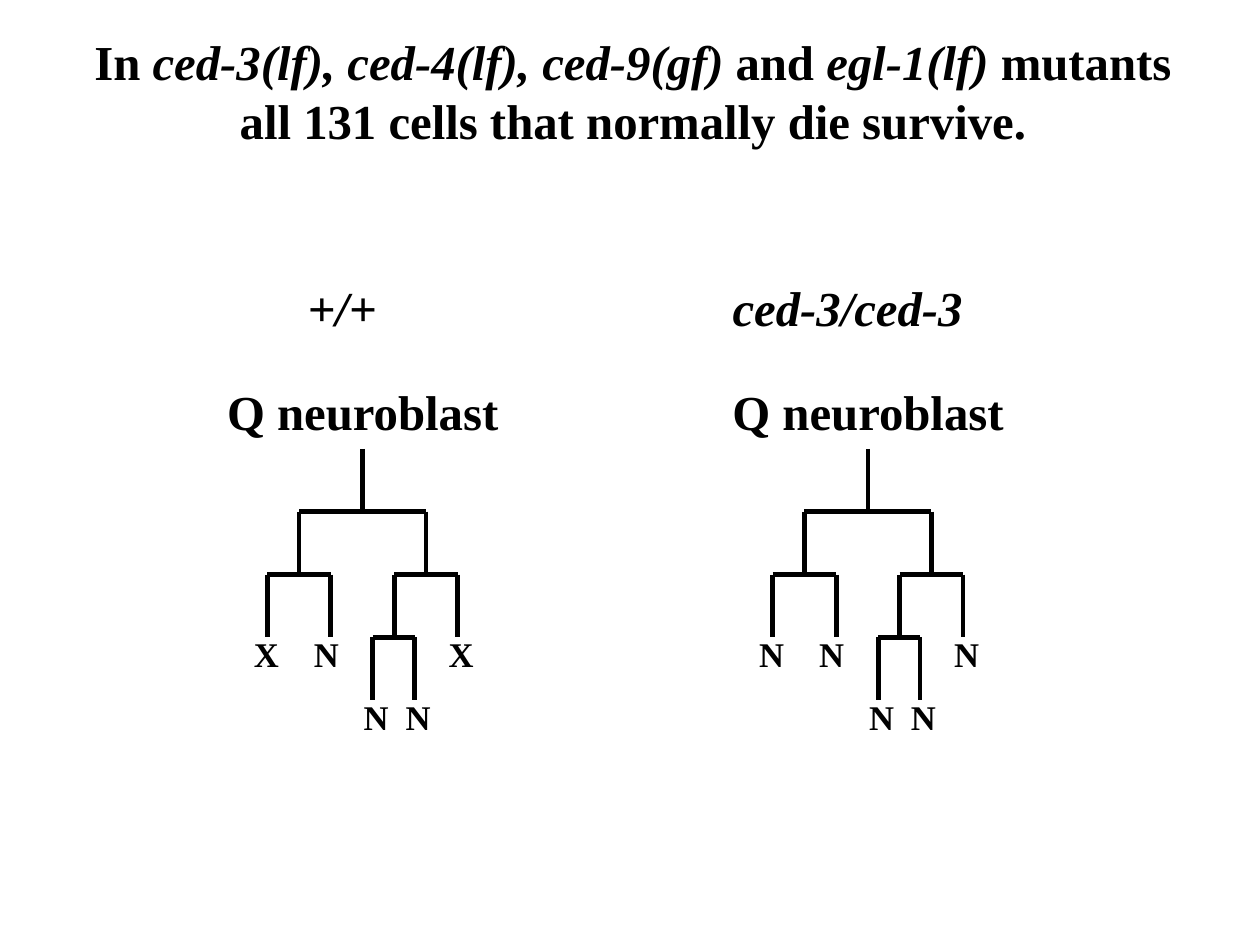
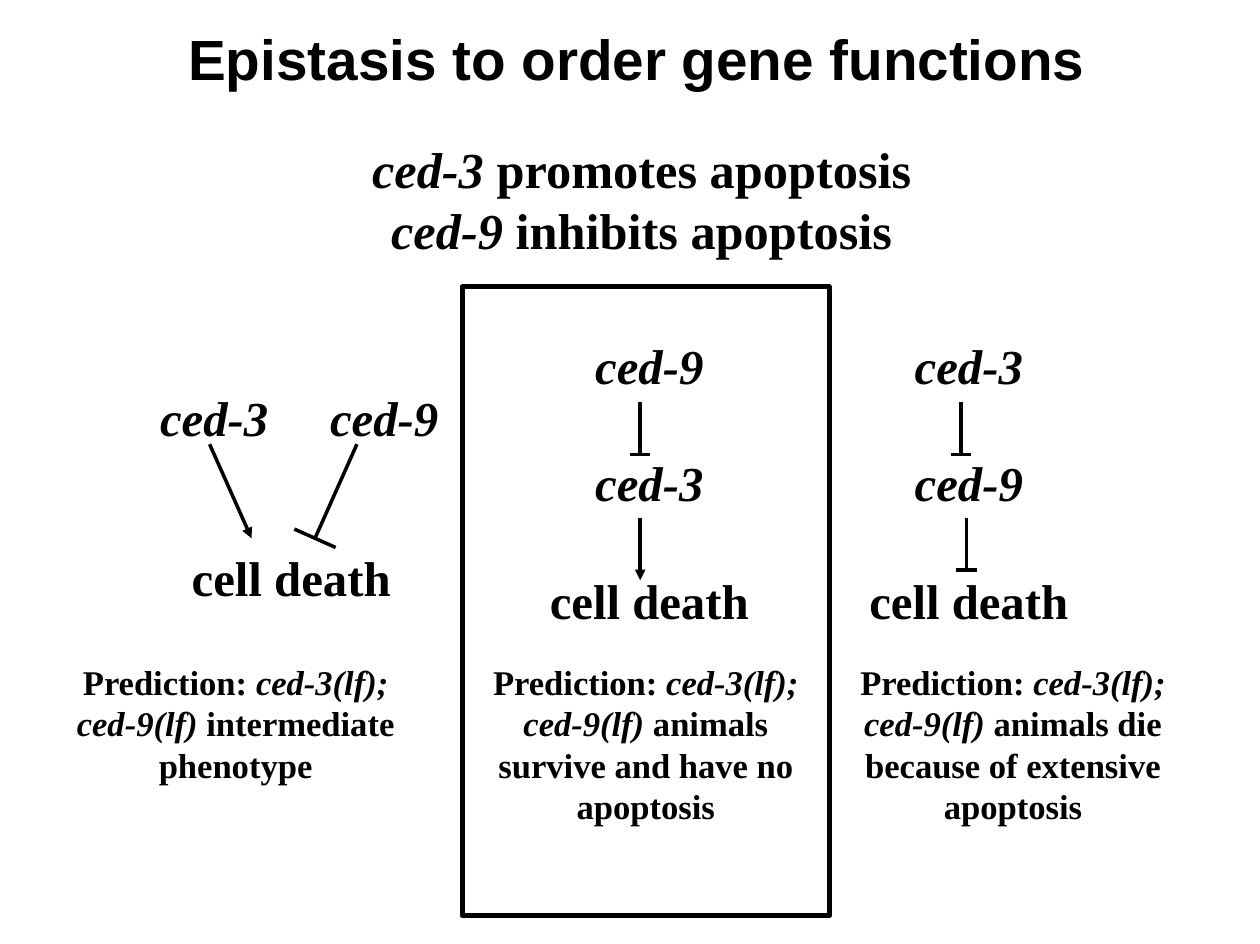
import math
from dataclasses import dataclass
from typing import NamedTuple

from lxml import etree
from pptx import Presentation
from pptx.dml import color
from pptx.enum import shapes, text
from pptx.oxml import ns
from pptx.util import Inches, Pt

COLORS = {"ink": "000000", "paper": "FFFFFF"}
SERIF, SANS = "Times New Roman", "Arial"
HEADING_PT, NOTE_PT = 31, 22
TREE_PT, LINK_PT = 3, 2.25
HEADING_H, FATE_H = 0.63, 0.48
GENERATION_H = 0.555


class Run(NamedTuple):
    words: str
    italic: bool = False


class Box(NamedTuple):
    left: float
    top: float
    width: float
    height: float


Lines = list[list[Run]]


@dataclass
class Cell:
    """A cell of the lineage; x is measured from the stem of its tree."""
    x: float
    fate: str = ""
    nudge: float = 0
    daughters: tuple["Cell", ...] = ()


@dataclass
class Lineage:
    genotype: str
    stem: float
    fates: str


@dataclass
class Link:
    start: tuple[float, float]
    end: tuple[float, float]
    bar: float = 0  # half length of the inhibition bar; 0 means promotion


@dataclass
class Pathway:
    center: float
    genes: tuple[str, str]


@dataclass
class Prediction:
    left: float
    height: float
    outcome: str


def ink() -> color.RGBColor:
    return color.RGBColor.from_string(COLORS["ink"])


def write(shape, lines: Lines, size: float, font: str = SERIF,
          wrap: bool = False, gap: float = 0) -> None:
    """Fill a shape with centred bold lines, gap points apart."""
    frame = shape.text_frame
    frame.auto_size = text.MSO_AUTO_SIZE.NONE
    frame.word_wrap = wrap
    frame.vertical_anchor = text.MSO_ANCHOR.TOP
    frame.margin_left = frame.margin_right = Inches(0.11)
    frame.margin_top = frame.margin_bottom = Inches(0.06)
    for i, line in enumerate(lines):
        paragraph = frame.add_paragraph() if i else frame.paragraphs[0]
        paragraph.alignment = text.PP_ALIGN.CENTER
        paragraph.space_before = Pt(gap if i else 0)
        for part in line:
            run = paragraph.add_run()
            run.text = part.words
            run.font.name, run.font.size = font, Pt(size)
            run.font.bold, run.font.italic = True, part.italic
            run.font.color.rgb = ink()


def add_text(slide, box: Box, lines: Lines, size: float = HEADING_PT,
             wrap: bool = False, gap: float = 0) -> None:
    frame = slide.shapes.add_textbox(*map(Inches, box))
    write(frame, lines, size, wrap=wrap, gap=gap)


def add_label(slide, center: float, top: float, run: Run, width: float = 2.62,
              height: float = HEADING_H, size: float = HEADING_PT) -> None:
    add_text(slide, Box(center - width / 2, top, width, height), [[run]], size)


def add_titled_slide(prs, box: Box, lines: Lines, size: float, font: str):
    slide = prs.slides.add_slide(prs.slide_layouts[5])
    slide.background.fill.solid()
    slide.background.fill.fore_color.rgb = color.RGBColor.from_string(COLORS["paper"])
    title = slide.shapes.title
    title.left, title.top, title.width, title.height = map(Inches, box)
    write(title, lines, size, font)
    return slide


def add_line(slide, start: tuple[float, float], end: tuple[float, float],
             weight: float, arrow: bool = False) -> None:
    line = slide.shapes.add_connector(
        shapes.MSO_CONNECTOR.STRAIGHT, *map(Inches, (*start, *end)))
    line.line.color.rgb = ink()
    line.line.width = Pt(weight)
    if arrow:
        etree.SubElement(line.line._get_or_add_ln(), ns.qn("a:tailEnd"), type="triangle")
    etree.SubElement(line._element.spPr, ns.qn("a:effectLst"))


def draw_cell(slide, cell: Cell, stem: float, top: float) -> None:
    """Draw a cell's life as a vertical line, then its fate or its daughters."""
    x, bottom = stem + cell.x, top + GENERATION_H
    add_line(slide, (x, top), (x, bottom), TREE_PT)
    if cell.daughters:
        first, last = cell.daughters
        add_line(slide, (stem + first.x, bottom), (stem + last.x, bottom), TREE_PT)
        for daughter in cell.daughters:
            draw_cell(slide, daughter, stem, bottom)
    else:
        add_label(slide, x + cell.nudge, bottom - 0.1, Run(cell.fate),
                  0.44, FATE_H, NOTE_PT)


def q_lineage(fates: str) -> Cell:
    """Build the Q neuroblast tree from its five fates, left to right."""
    a, b, c, d, e = fates
    anterior = Cell(-0.56, daughters=(Cell(-0.84, a, -0.01), Cell(-0.28, b, -0.04)))
    late = Cell(0.28, daughters=(Cell(0.09, c, 0.03), Cell(0.46, d, 0.03)))
    posterior = Cell(0.56, daughters=(late, Cell(0.84, e, 0.03)))
    return Cell(0, daughters=(anterior, posterior))


def draw_link(slide, link: Link) -> None:
    """Draw an arrow, or a line closed by a bar at right angles to it."""
    add_line(slide, link.start, link.end, LINK_PT, arrow=not link.bar)
    if link.bar:
        x, y = link.end
        dx, dy = x - link.start[0], y - link.start[1]
        scale = link.bar / math.hypot(dx, dy)
        across, down = dy * scale, -dx * scale
        add_line(slide, (x - across, y - down), (x + across, y + down), LINK_PT)


LINEAGES = [
    Lineage("+/+", 3.2, "XNNNX"),
    Lineage("ced-3/ced-3", 7.66, "NNNNN"),
]
PATHWAYS = [
    Pathway(5.73, ("ced-9", "ced-3")),
    Pathway(8.55, ("ced-3", "ced-9")),
]
LINKS = [
    Link((1.85, 3.92), (2.22, 4.75)),
    Link((3.15, 3.92), (2.78, 4.75), bar=0.2),
    Link((5.65, 3.55), (5.65, 4.01), bar=0.09),
    Link((5.65, 4.57), (5.65, 5.12)),
    Link((8.48, 3.55), (8.48, 4.01), bar=0.09),
    Link((8.53, 4.57), (8.53, 5.03), bar=0.09),
]
PREDICTIONS = [
    Prediction(0.46, 1.21, " intermediate phenotype"),
    Prediction(4.08, 1.58, " animals survive and have no apoptosis"),
    Prediction(7.32, 1.58, " animals die because of extensive apoptosis"),
]


def build_lineage_slide(prs) -> None:
    title = [
        [Run("In "), Run("ced-3(lf), ced-4(lf), ced-9(gf) ", True), Run("and "),
         Run("egl-1(lf) ", True), Run("mutants")],
        [Run("all 131 cells that normally die survive.")],
    ]
    slide = add_titled_slide(prs, Box(0.72, 0.22, 9.73, 1.15), title, HEADING_PT, SERIF)
    for lineage in LINEAGES:
        add_label(slide, lineage.stem - 0.18, 2.39, Run(lineage.genotype, True))
        add_label(slide, lineage.stem, 3.31, Run("Q neuroblast"))
        draw_cell(slide, q_lineage(lineage.fates), lineage.stem, 3.96)


def build_epistasis_slide(prs) -> None:
    slide = add_titled_slide(prs, Box(1.55, 0.15, 8.14, 0.71),
                             [[Run("Epistasis to order gene functions")]], 36, SANS)
    add_text(slide, Box(3.17, 1.16, 4.99, 1.18), [
        [Run("ced-3", True), Run(" promotes apoptosis")],
        [Run("ced-9", True), Run(" inhibits apoptosis")],
    ], size=32)

    favoured = slide.shapes.add_shape(
        shapes.MSO_SHAPE.RECTANGLE, *map(Inches, Box(4.08, 2.53, 3.24, 5.55)))
    favoured.shadow.inherit = False
    favoured.fill.background()
    favoured.line.color.rgb = ink()
    favoured.line.width = Pt(3)

    for center, gene in ((1.89, "ced-3"), (3.39, "ced-9")):
        add_label(slide, center, 3.36, Run(gene, True), width=1.2)
    add_label(slide, 2.57, 4.77, Run("cell death"), width=1.98)
    for pathway in PATHWAYS:
        steps = [[Run(gene, True)] for gene in pathway.genes] + [[Run("cell death")]]
        add_text(slide, Box(pathway.center - 0.99, 2.9, 1.98, 2.7), steps, gap=37.5)
    for link in LINKS:
        draw_link(slide, link)
    for prediction in PREDICTIONS:
        add_text(slide, Box(prediction.left, 5.77, 3.24, prediction.height), [[
            Run("Prediction: "), Run("ced-3(lf); ced-9(lf)", True),
            Run(prediction.outcome),
        ]], NOTE_PT, wrap=True)


def main() -> None:
    prs = Presentation()
    prs.slide_width, prs.slide_height = Inches(11.12), Inches(8.33)
    build_lineage_slide(prs)
    build_epistasis_slide(prs)
    prs.save("out.pptx")


if __name__ == "__main__":
    main()
